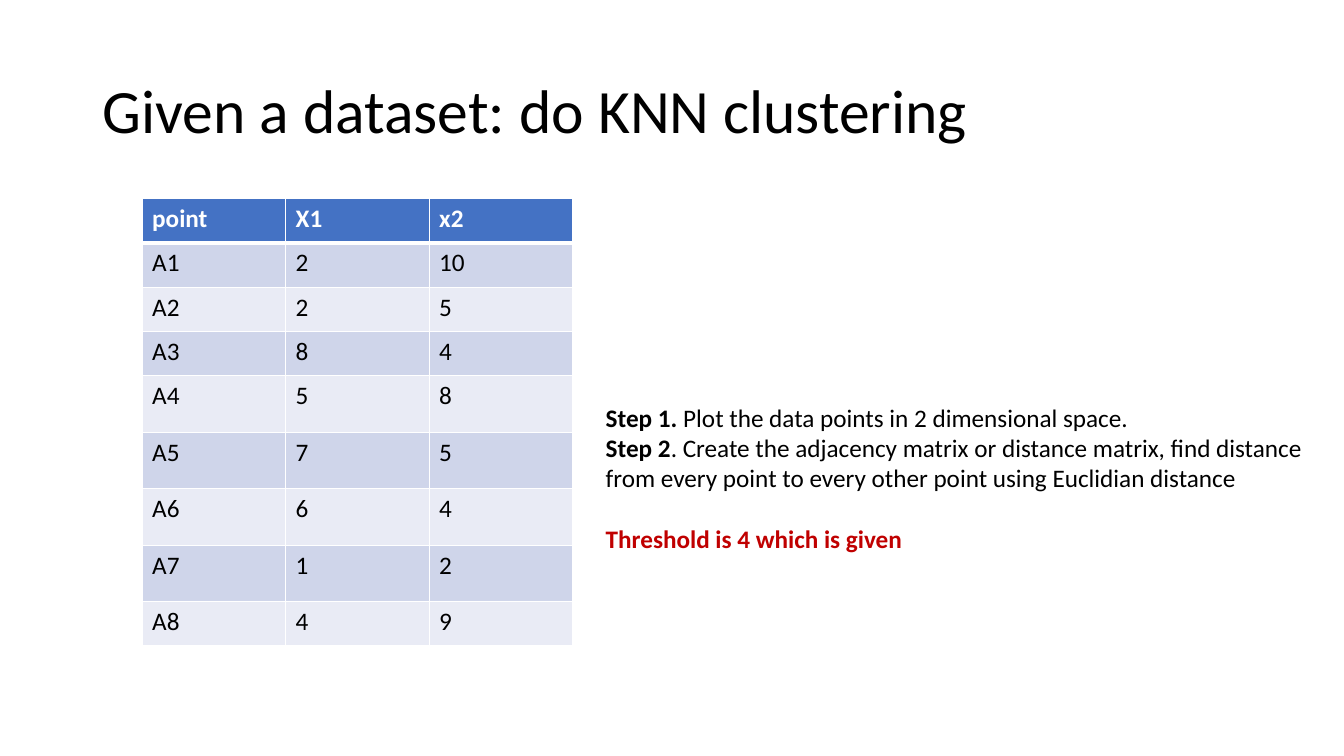
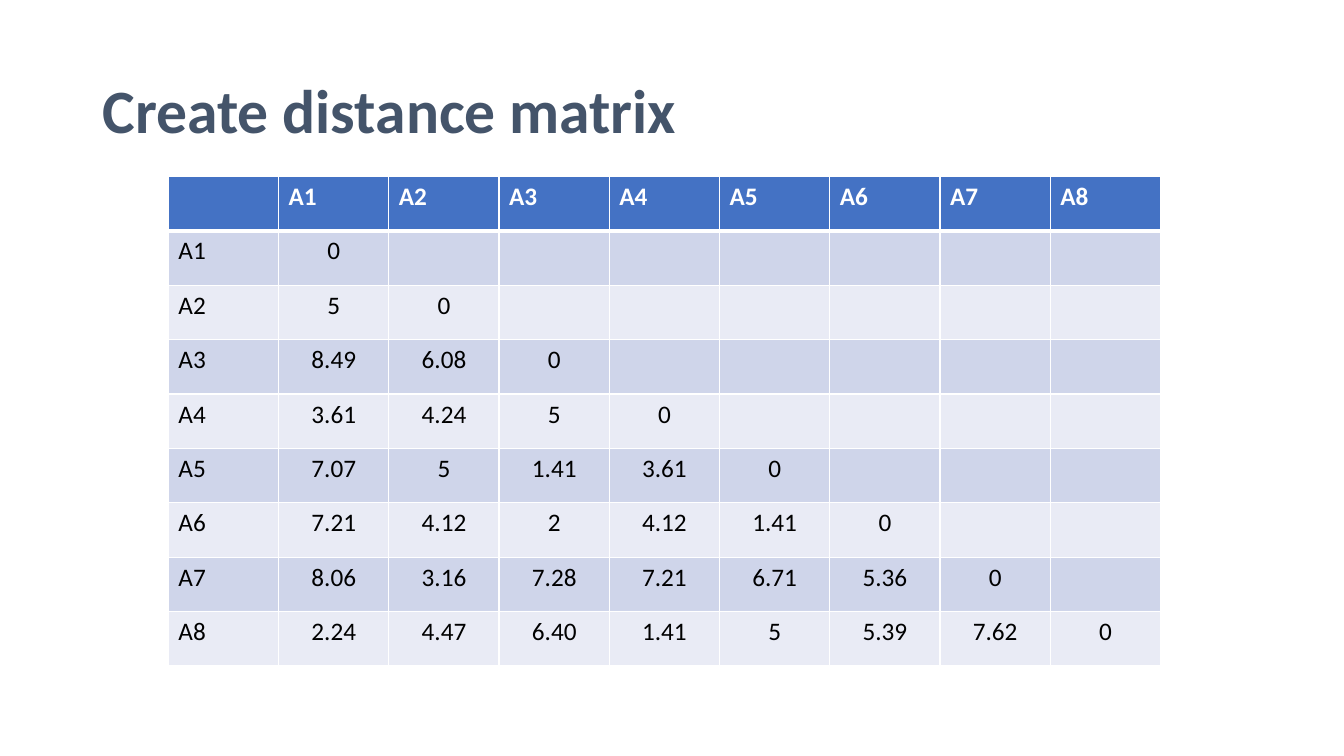
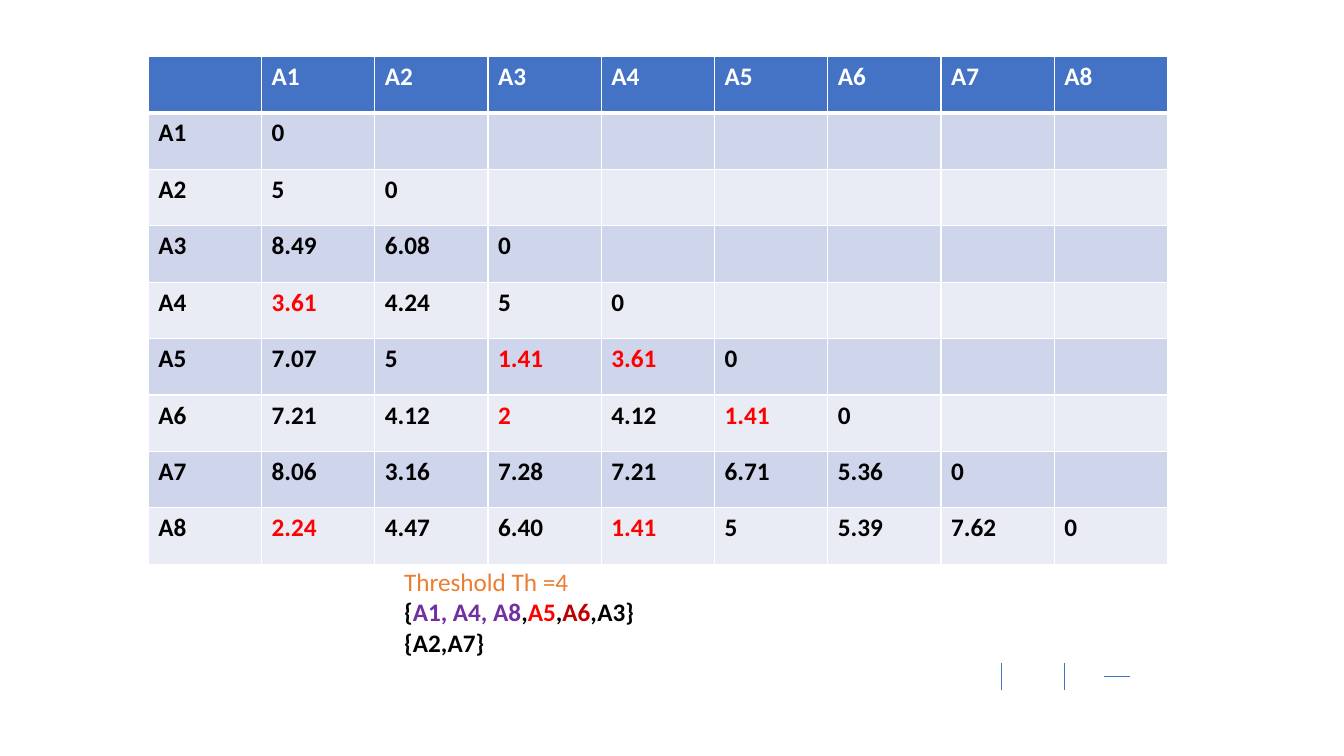
from lxml.etree import SubElement
from pptx import Presentation
from pptx.dml.color import RGBColor
from pptx.enum.shapes import MSO_CONNECTOR
from pptx.enum.text import MSO_ANCHOR, PP_ALIGN
from pptx.oxml.ns import qn
from pptx.util import Inches, Pt

COLORS = {
    "black": "000000", "white": "FFFFFF", "slate": "44546A",
    "blue": "4472C4", "band_dark": "CFD5EA", "band_light": "E9EBF5",
    "red": "FF0000", "dark_red": "C00000", "orange": "ED7D31", "purple": "7030A0",
}

# Data
POINTS = [f"A{n}" for n in range(1, 9)]
COORDINATES = [(2, 10), (2, 5), (8, 4), (5, 8), (7, 5), (6, 4), (1, 2), (4, 9)]
DISTANCES = [
    "0",
    "5 0",
    "8.49 6.08 0",
    "3.61 4.24 5 0",
    "7.07 5 1.41 3.61 0",
    "7.21 4.12 2 4.12 1.41 0",
    "8.06 3.16 7.28 7.21 6.71 5.36 0",
    "2.24 4.47 6.40 1.41 5 5.39 7.62 0",
]
# (row, column) of the highlighted distances
NEIGHBOURS = {(4, 1), (5, 3), (5, 4), (6, 3), (6, 5), (8, 1), (8, 4)}


def rgb(color):
    return RGBColor.from_string(COLORS[color])


class Deck:
    """Shared style and the slide being filled."""

    font = "Calibri"
    body_size = 18
    title_size = 44

    def __init__(self):
        self.prs = Presentation()
        self.prs.slide_width, self.prs.slide_height = Inches(13.33), Inches(7.5)
        self.slide = None

    def new_slide(self):
        self.slide = self.prs.slides.add_slide(self.prs.slide_layouts[6])

    def run(self, paragraph, text, color="black", bold=False, size=body_size):
        run = paragraph.add_run()
        run.text = text
        run.font.name, run.font.size, run.font.bold = self.font, Pt(size), bold
        run.font.color.rgb = rgb(color)

    def frame(self, left, top, width, height):
        box = self.slide.shapes.add_textbox(
            Inches(left), Inches(top), Inches(width), Inches(height))
        box.text_frame.word_wrap = True
        return box.text_frame

    def title(self, text, color="black", bold=False):
        frame = self.frame(0.92, 0.4, 11.5, 1.45)
        frame.vertical_anchor = MSO_ANCHOR.MIDDLE
        frame.paragraphs[0].line_spacing = 0.9
        self.run(frame.paragraphs[0], text, color, bold, self.title_size)

    def text(self, left, top, width, height, lines):
        """Each line is a list of (text, color, bold) runs."""
        frame = self.frame(left, top, width, height)
        for i, line in enumerate(lines):
            paragraph = frame.add_paragraph() if i else frame.paragraphs[0]
            for part in line:
                self.run(paragraph, *part)
        return frame

    def borders(self, cell, row):
        properties = cell._tc.get_or_add_tcPr()
        widths = {"L": 1, "R": 1, "T": 3 if row == 1 else 1, "B": 3 if row == 0 else 1}
        for side, width in widths.items():
            edge = SubElement(properties, qn(f"a:ln{side}"), w=str(Pt(width)))
            fill = SubElement(edge, qn("a:solidFill"))
            SubElement(fill, qn("a:srgbClr"), val=COLORS["white"])

    def table(self, left, top, width, row_heights, rows,
              bold=False, align=PP_ALIGN.LEFT, highlights=()):
        columns = len(rows[0])
        table = self.slide.shapes.add_table(
            len(rows), columns, Inches(left), Inches(top),
            Inches(width), Inches(sum(row_heights))).table
        for column in table.columns:
            column.width = Inches(width / columns)
        for r, (height, values) in enumerate(zip(row_heights, rows)):
            table.rows[r].height = Inches(height)
            band = "blue" if r == 0 else "band_dark" if r % 2 else "band_light"
            for c, value in enumerate(values):
                cell = table.cell(r, c)
                self.borders(cell, r)
                cell.fill.solid()
                cell.fill.fore_color.rgb = rgb(band)
                if not value:
                    continue
                paragraph = cell.text_frame.paragraphs[0]
                if r and c:
                    paragraph.alignment = align
                color = "white" if r == 0 else "red" if (r, c) in highlights else "black"
                self.run(paragraph, value, color, bold or r == 0)

    def line(self, x1, y1, x2, y2):
        line = self.slide.shapes.add_connector(
            MSO_CONNECTOR.STRAIGHT, Inches(x1), Inches(y1), Inches(x2), Inches(y2))
        line.line.color.rgb = rgb("blue")
        line.line.width = Pt(0.5)
        SubElement(line._element.spPr, qn("a:effectLst"))


def distance_rows():
    rows = [[""] + POINTS]
    for point, distances in zip(POINTS, DISTANCES):
        values = distances.split()
        rows.append([point] + values + [""] * (len(POINTS) - len(values)))
    return rows


def main():
    deck = Deck()
    matrix = distance_rows()

    # Dataset and steps
    deck.new_slide()
    deck.title("Given a dataset: do KNN clustering")
    dataset = [["point", "X1", "x2"]]
    dataset += [[point, str(x1), str(x2)] for point, (x1, x2) in zip(POINTS, COORDINATES)]
    deck.table(1.41, 1.97, 4.27, [0.44] * 4 + [0.56] * 4 + [0.44], dataset)
    steps = deck.text(5.91, 3.94, 7.2, 1.62, [
        [("Step 1. ", "black", True),
         ("Plot the data points in 2 dimensional space.",)],
        [("Step 2", "black", True),
         (". Create the adjacency matrix or distance matrix, find distance from every "
          "point to every other point using Euclidian distance",)],
        [("Threshold is 4 which is given", "dark_red", True)],
    ])
    steps.paragraphs[-1].space_before = Pt(22)

    # Distance matrix
    deck.new_slide()
    deck.title("Create distance matrix", "slate", True)
    deck.table(1.67, 1.75, 9.84, [0.54] * len(matrix), matrix, align=PP_ALIGN.CENTER)

    # Distances under the threshold and the resulting clusters
    deck.new_slide()
    deck.table(1.47, 0.56, 10.11, [0.56] * len(matrix), matrix,
               bold=True, highlights=NEIGHBOURS)
    deck.text(3.91, 5.57, 5.19, 1.01, [
        [("Threshold Th =4", "orange")],
        [("{", "black", True), ("A1, A4, A8", "purple", True), (",", "black", True),
         ("A5", "red", True), (",", "black", True), ("A6", "dark_red", True),
         (",A3}", "black", True)],
        [("{A2,A7}", "black", True)],
    ])
    for x in (9.93, 10.56):
        deck.line(x, 6.58, x, 6.85)
    deck.line(10.95, 6.71, 11.21, 6.71)

    deck.prs.save("out.pptx")


if __name__ == "__main__":
    main()
